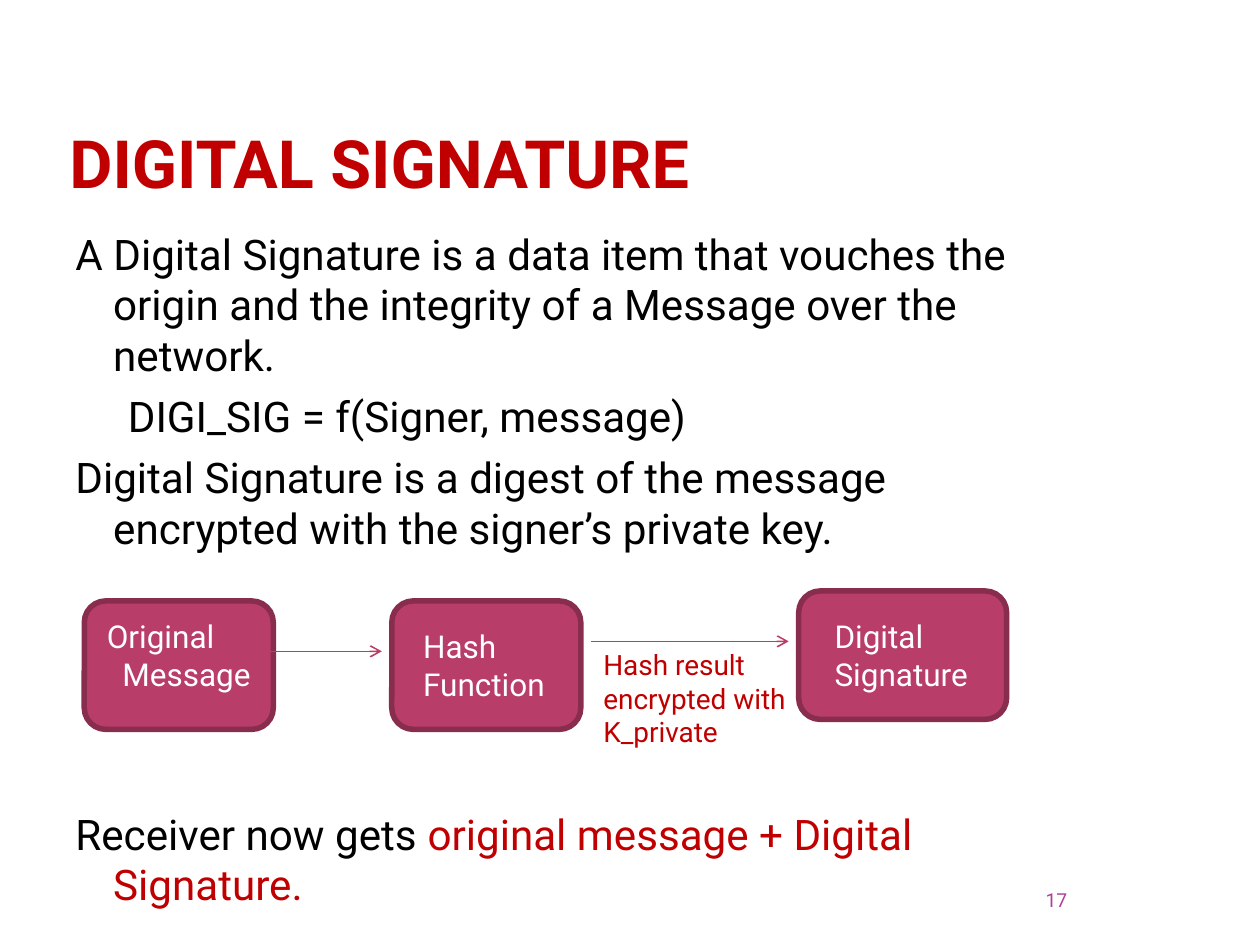
import pptx
import pptx.util
import pptx.dml.color
import pptx.enum.shapes
import pptx.enum.text
import pptx.oxml
import pptx.oxml.ns

Pt = pptx.util.Pt
ANCHOR = pptx.enum.text.MSO_ANCHOR
ALIGN = pptx.enum.text.PP_ALIGN
SHAPES = pptx.enum.shapes
FONT = "Roboto"
COLORS = {
    "accent": "C00000",
    "ink": "000000",
    "box": "B83D68",
    "border": "882D4D",
    "label": "FFFFFF",
    "number": "B13F9A",
}


def rgb(name):
    """Return the named colour."""
    return pptx.dml.color.RGBColor.from_string(COLORS[name])


def add_text(slide, box, paragraphs, size, bold=False, anchor=ANCHOR.TOP,
             insets=(7.2, 3.6), align=ALIGN.LEFT):
    """Place paragraphs in box; each is (runs, left margin, first indent, space before)."""
    frame = slide.shapes.add_textbox(*map(Pt, box)).text_frame
    frame.word_wrap = True
    frame.vertical_anchor = anchor
    frame.margin_left = frame.margin_right = Pt(insets[0])
    frame.margin_top = frame.margin_bottom = Pt(insets[1])
    for index, (runs, margin, indent, before) in enumerate(paragraphs):
        paragraph = frame.add_paragraph() if index else frame.paragraphs[0]
        paragraph.alignment = align
        paragraph.space_before = Pt(before)
        properties = paragraph._p.get_or_add_pPr()
        properties.set("marL", str(Pt(margin)))
        properties.set("indent", str(Pt(indent)))
        for wording, color in runs:
            run = paragraph.add_run()
            run.text = wording
            run.font.name = FONT
            run.font.size = Pt(size)
            run.font.bold = bold
            run.font.color.rgb = rgb(color)


def add_title(slide, box):
    """Place the heading at the bottom of its box."""
    add_text(slide, box, [([("DIGITAL SIGNATURE", "accent")], 0, 0, 0)], 38,
             bold=True, anchor=ANCHOR.BOTTOM, insets=(3.6, 0))


def add_body(slide, box):
    """Place the definition above and the outcome below the diagram's gap."""
    definition = ("A Digital Signature is a data item that vouches the origin "
                  "and the integrity of a Message over the network.")
    digest = ("Digital Signature is a digest of the message encrypted with "
              "the signer’s private key.")
    outcome = [("Receiver now gets ", "ink"),
               ("original message + Digital Signature.", "accent")]
    add_text(slide, box, [
        ([(definition, "ink")], 21.6, -21.6, 6),
        ([("DIGI_SIG = f(Signer, message)", "ink")], 30, 0, 6),
        ([(digest, "ink")], 21.6, -21.6, 6),
        (outcome, 21.6, -21.6, 146),
    ], 24.1)


def add_step(slide, box):
    """Draw one rounded box of the process."""
    step = slide.shapes.add_shape(
        SHAPES.MSO_SHAPE.ROUNDED_RECTANGLE, *map(Pt, box))
    step.shadow.inherit = False
    step.fill.solid()
    step.fill.fore_color.rgb = rgb("box")
    step.line.color.rgb = rgb("border")
    step.line.width = Pt(3.15)


def add_arrow(slide, left, right, y):
    """Draw a level arrow pointing right."""
    arrow = slide.shapes.add_connector(
        SHAPES.MSO_CONNECTOR.STRAIGHT, Pt(left), Pt(y), Pt(right), Pt(y))
    arrow.line.color.rgb = rgb("box")
    arrow.line.width = Pt(0.9)
    line = arrow.line._get_or_add_ln()
    head = pptx.oxml.parse_xml(
        "<a:tailEnd %s type='arrow'/>" % pptx.oxml.ns.nsdecls("a"))
    line.append(head)
    arrow._element.spPr.append(pptx.oxml.parse_xml(
        "<a:effectLst %s/>" % pptx.oxml.ns.nsdecls("a")))


def add_process(slide, box):
    """Draw the signing steps, their labels and arrows relative to box."""
    left, top, width, height = box
    step_height = 73.4
    # step offset x, y, width; label offset x, y; label lines with indents
    steps = [
        (0, 5.7, 108, 5.8, 11.5, [("Original", 0), ("Message", 8.9)]),
        (175.7, 5.7, 108, 164.2, 17.3, [("Hash", 22.3), ("Function", 22.3)]),
        (408.2, 0, 118.8, 408.2, 11.5, [("Digital", 13.4), ("Signature", 13.4)]),
    ]
    for x, y, step_width, *_ in steps:
        add_step(slide, (left + x, top + y, step_width, step_height))
    for _, _, _, x, y, lines in steps:
        add_text(slide, (left + x, top + y, 113, 51),
                 [([(line, "label")], indent, 0, 0) for line, indent in lines], 18)
    add_arrow(slide, left + 90.7, left + 170, top + 34.5)
    add_arrow(slide, left + 289.5, left + 402.5, top + 28.8)
    add_text(slide, (left + 289.5, top + 28.8, 130.3, 65.5),
             [([("Hash result encrypted with K_private", "accent")], 0, 0, 0)], 16)


def add_page_number(slide, box):
    """Place the page number at the bottom right of its box."""
    add_text(slide, box, [([("17", "number")], 0, 0, 0)], 11,
             anchor=ANCHOR.BOTTOM, insets=(0, 0), align=ALIGN.RIGHT)


deck = pptx.Presentation()
deck.slide_width, deck.slide_height = Pt(720), Pt(540)
signature_slide = deck.slides.add_slide(deck.slide_layouts[6])
add_title(signature_slide, (36, 25.2, 570.2, 90))
add_body(signature_slide, (36, 126.7, 570.2, 381.6))
add_process(signature_slide, (48.2, 337.7, 527, 94.3))
add_page_number(signature_slide, (563.8, 502.6, 46, 18))
deck.save("out.pptx")
